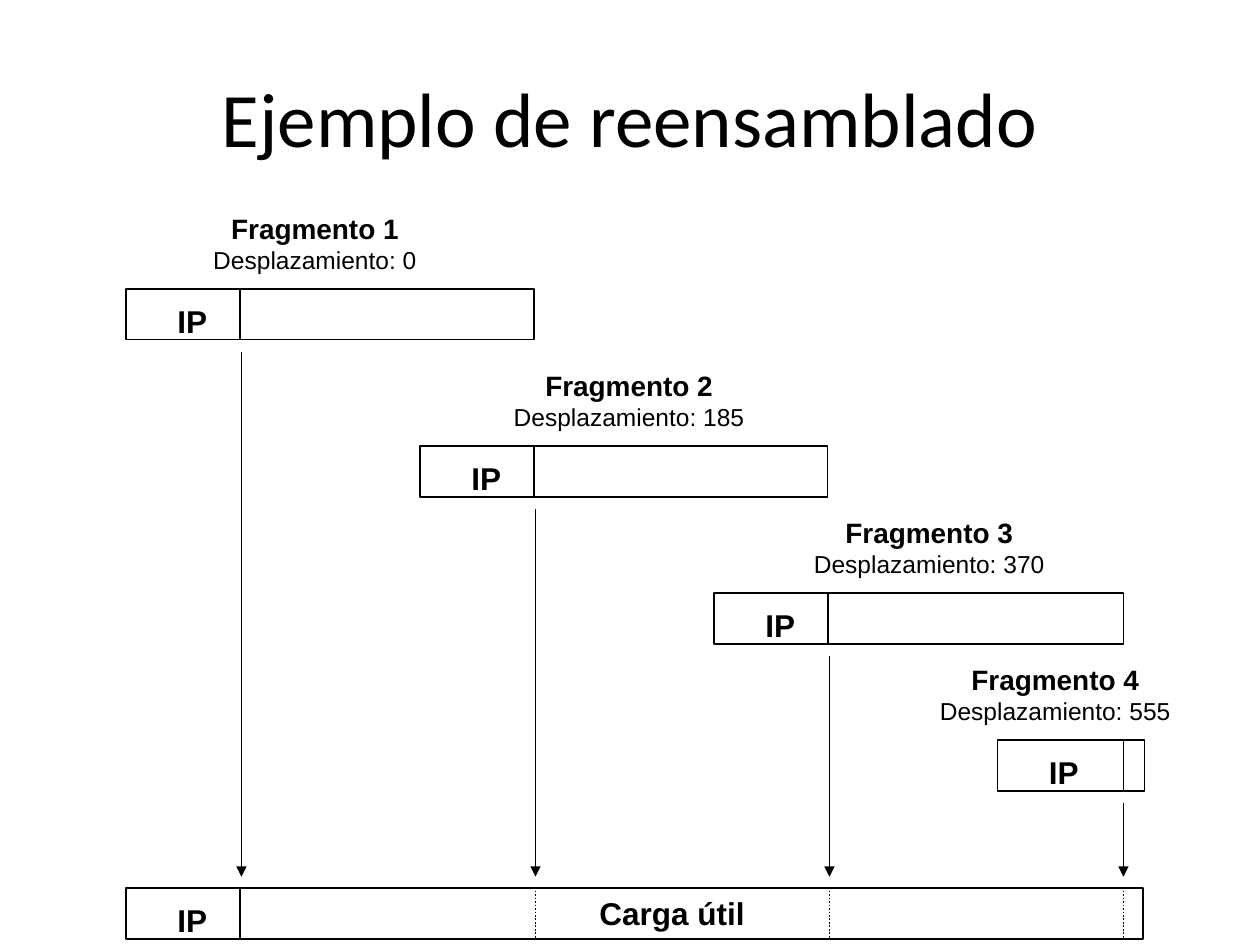
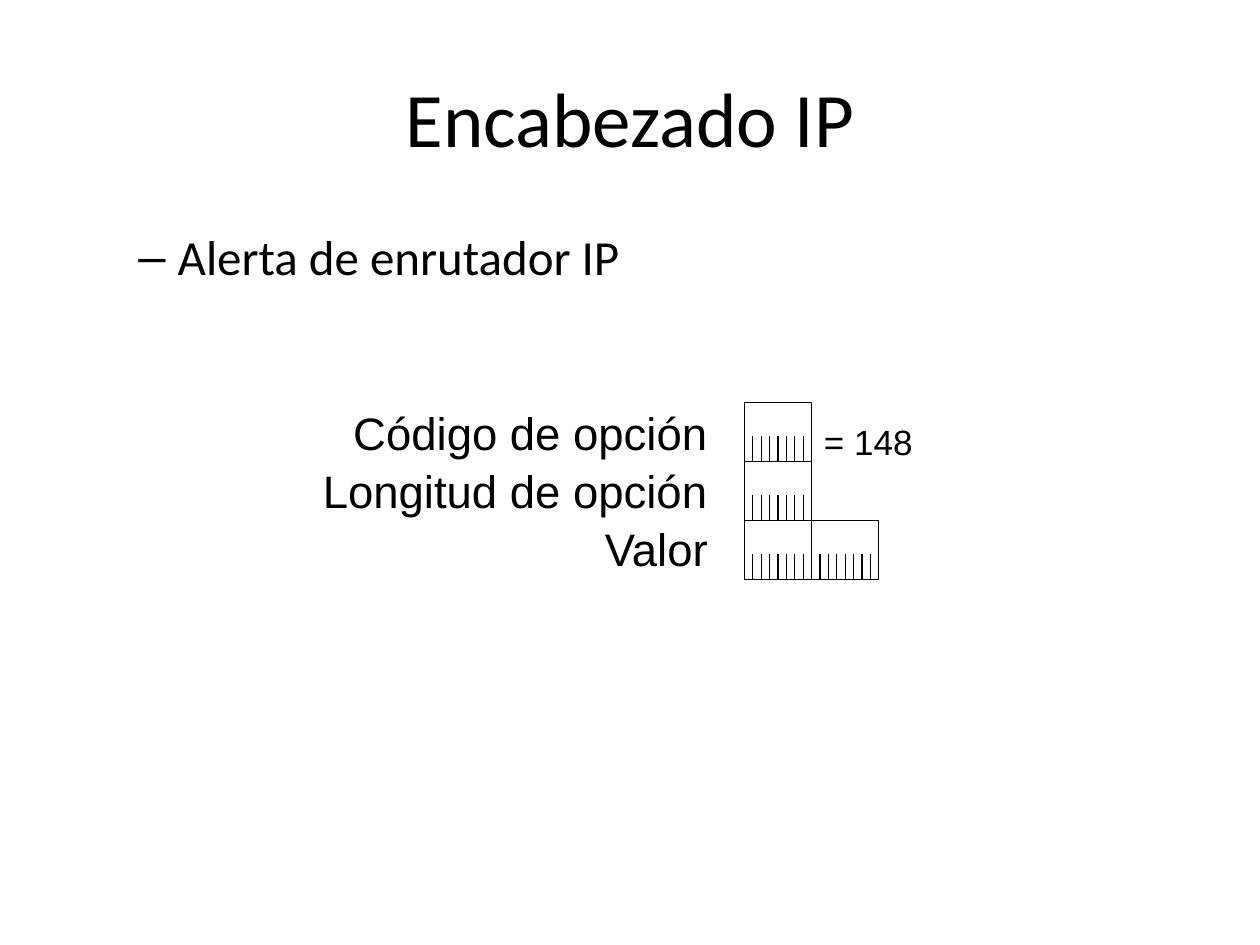
from lxml import etree
from pptx import Presentation
from pptx.dml.color import RGBColor
from pptx.enum import dml, shapes, text
from pptx.oxml import ns
from pptx.util import Pt

BLACK = RGBColor(0, 0, 0)
WHITE = RGBColor(255, 255, 255)
BODY, LABEL = "Calibri", "Arial"
LEFT, MID, RIGHT = text.PP_ALIGN.LEFT, text.PP_ALIGN.CENTER, text.PP_ALIGN.RIGHT
BAR = 29    # height of a packet bar
STEP = 168  # payload carried by a full fragment
BIT = 4.8   # width of one bit
ROW = 33.6  # height of one byte

# title, offset, header left and width, payload left and right, top, label left and width
PARTS = [
    ("Fragmento 1", 0, 72, 65, 114, 305, 165, 108, 144),
    ("Fragmento 2", 185, 240, 65, 282, 473, 255, 282, 155),
    ("Fragmento 3", 370, 408, 65, 450, 642, 339, 456, 150),
    ("Fragmento 4", 555, 570, 72, 636, 654, 423, 528, 150),
]


def write(frame, words, size, font=LABEL, bold=False, align=LEFT, before=0, bullet=None):
    """Fill the empty first paragraph, or add one below."""
    para = frame.paragraphs[0]
    if para.text:
        para = frame.add_paragraph()
    para.alignment = align
    para.space_before = Pt(before)
    if bullet:
        props = para._p.get_or_add_pPr()
        props.set("marL", str(Pt(58.5)))
        props.set("indent", str(Pt(-22.5)))
        etree.SubElement(props, ns.qn("a:buFont"), typeface=LABEL)
        etree.SubElement(props, ns.qn("a:buChar"), char=bullet)
    run = para.add_run()
    run.text = words
    run.font.name, run.font.size, run.font.bold = font, Pt(size), bold
    run.font.color.rgb = BLACK


def text_box(slide, x, y, w, h, wrap=True):
    """Add a text box; one that does not wrap grows with its text."""
    frame = slide.shapes.add_textbox(Pt(x), Pt(y), Pt(w), Pt(h)).text_frame
    frame.word_wrap = wrap
    if not wrap:
        frame.auto_size = text.MSO_AUTO_SIZE.SHAPE_TO_FIT_TEXT
    return frame


def rect(parent, x, y, w, h, width=1, fill=WHITE):
    box = parent.shapes.add_shape(
        shapes.MSO_SHAPE.RECTANGLE, Pt(x), Pt(y), Pt(w), Pt(h))
    box.shadow.inherit = False
    if fill is None:
        box.fill.background()
    else:
        box.fill.solid()
        box.fill.fore_color.rgb = fill
    box.line.color.rgb = BLACK
    box.line.width = Pt(width)


def drop(parent, x, top, end, width=0.75, dash=None, arrow=False):
    """Draw a vertical line."""
    line = parent.shapes.add_connector(
        shapes.MSO_CONNECTOR.STRAIGHT, Pt(x), Pt(top), Pt(x), Pt(end))
    line.line.color.rgb = BLACK
    line.line.width = Pt(width)
    if dash:
        line.line.dash_style = dash
    if arrow:
        etree.SubElement(line.line._get_or_add_ln(), ns.qn("a:tailEnd"), type="triangle")
    etree.SubElement(line._element.spPr, ns.qn("a:effectLst"))


def titled(deck, words):
    slide = deck.slides.add_slide(deck.slide_layouts[5])
    title = slide.shapes.title
    title.left, title.top, title.width, title.height = Pt(36), Pt(21.6), Pt(648), Pt(90)
    title.text_frame.vertical_anchor = text.MSO_ANCHOR.MIDDLE
    write(title.text_frame, words, 44, font=BODY, align=MID)
    return slide


def packet(slide, x, y, head, start, end, fill=WHITE):
    """Draw a payload bar with its IP header in front."""
    rect(slide, start, y, end - start, BAR, fill=fill)
    rect(slide, x, y, head, BAR)
    write(text_box(slide, x + 22.3, y + 3.8, 31.4, BAR, wrap=False), "IP", 18, bold=True)


def part(slide, name, offset, x, head, start, end, y, left, wide):
    packet(slide, x, y, head, start, end)
    frame = text_box(slide, left, y - 47.8, wide, 43)
    write(frame, name, 16, bold=True, align=MID)
    write(frame, f"Desplazamiento: {offset}", 14, align=MID)


def byte(slide, x, y, first=0):
    """Draw one byte with its bit marks, from mark number first."""
    group = slide.shapes.add_group_shape()
    rect(group, x, y, 8 * BIT, ROW, width=0.75)
    for mark in range(first, 9):
        drop(group, x + mark * BIT, y + 19, y + ROW)


def reassembly(deck):
    slide = titled(deck, "Ejemplo de reensamblado")
    base = 507.6
    for row in PARTS:
        part(slide, *row)
    packet(slide, 72, base, 65, 114, 653, fill=None)
    write(text_box(slide, 335.5, base - 0.4, 97.4, BAR, wrap=False), "Carga útil", 18,
          bold=True)
    for i, row in enumerate(PARTS):
        x = 138 + i * STEP
        drop(slide, x, row[6] + 36, 501, arrow=True)
        if i:
            drop(slide, x, base - 0.6, base + 29.6, width=1,
                 dash=dml.MSO_LINE.ROUND_DOT)


def header(deck):
    slide = titled(deck, "Encabezado IP")
    write(text_box(slide, 36, 126, 648, 356.4), "Alerta de enrutador IP", 28,
          font=BODY, bullet="–")
    frame = text_box(slide, 84, 228, 327.6, 106)
    x, y = 425.4, 230.2
    for i, name in enumerate(("Código de opción", "Longitud de opción", "Valor")):
        write(frame, name, 26, align=RIGHT, before=1.8 if i else 0)
        if i == 2:
            byte(slide, x + 8 * BIT, y + i * ROW, first=1)
        byte(slide, x, y + i * ROW)
    write(text_box(slide, 463.7, 236.5, 65, 31, wrap=False), "= 148", 20, align=MID)


def main():
    deck = Presentation()
    deck.slide_width, deck.slide_height = Pt(720), Pt(540)
    reassembly(deck)
    header(deck)
    deck.save("out.pptx")


if __name__ == "__main__":
    main()
